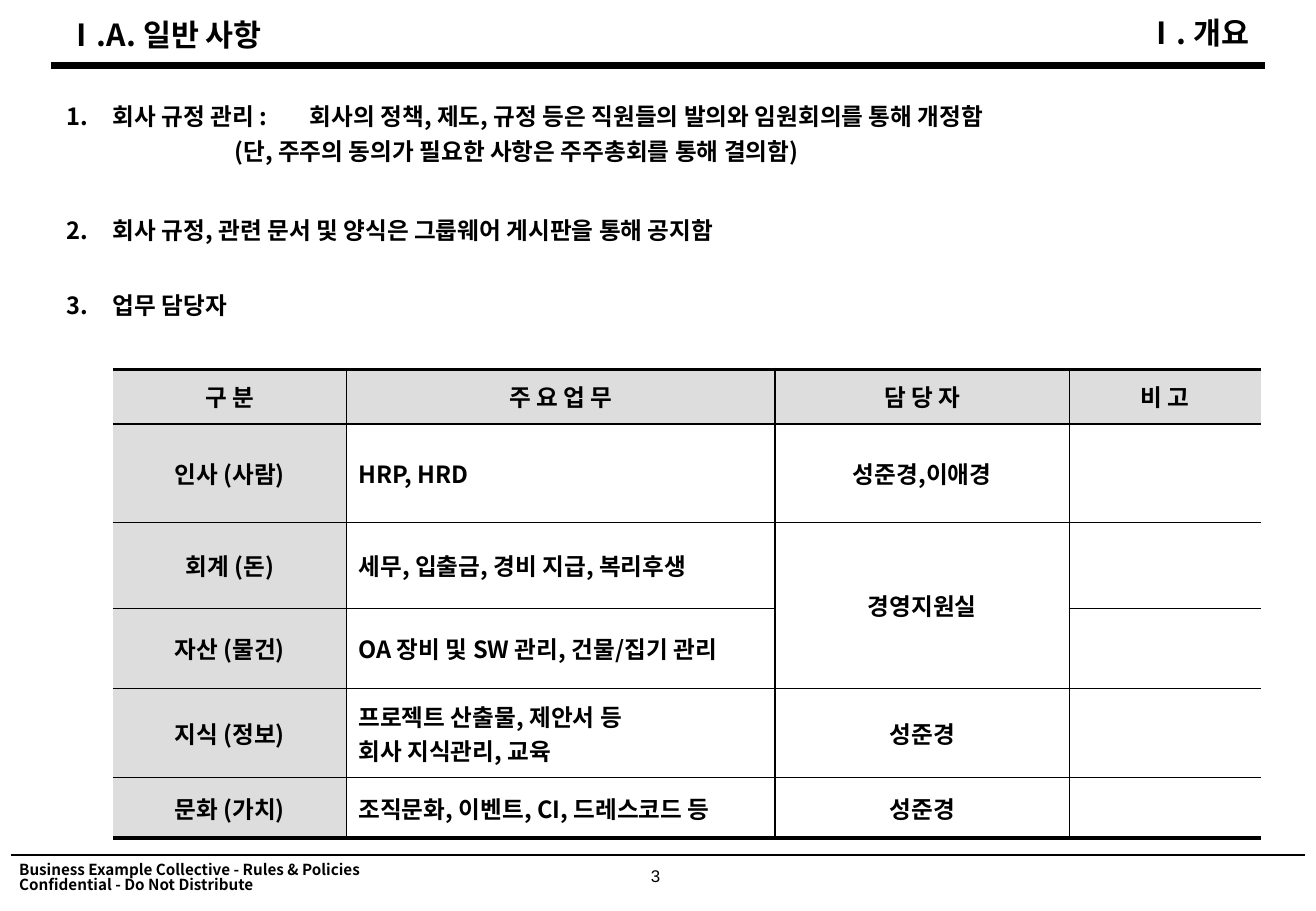
from lxml.etree import SubElement
from pptx import Presentation
from pptx.dml.color import RGBColor
from pptx.enum.shapes import MSO_CONNECTOR
from pptx.enum.text import MSO_ANCHOR, PP_ALIGN
from pptx.oxml.ns import qn
from pptx.util import Inches, Pt

COLORS = {"ink": "000000", "header": "DDDDDD", "paper": "FFFFFF"}
KOREAN_FONT = "Noto Sans CJK KR"


def write(paragraph, text, size, font=KOREAN_FONT, bold=True, align=PP_ALIGN.LEFT):
    paragraph.alignment = align
    for index, line in enumerate(text.split("\n")):
        if index:
            paragraph.add_line_break()
        run = paragraph.add_run()
        run.text = line
        run.font.size = Pt(size)
        run.font.bold = bold
        run.font.name = font
        run.font.color.rgb = RGBColor.from_string(COLORS["ink"])
        SubElement(run.font._element, qn("a:ea"), typeface=font)


def add_text_frame(left, top, width, height, margin=0):
    frame = slide.shapes.add_textbox(
        Inches(left), Inches(top), Inches(width), Inches(height)
    ).text_frame
    frame.word_wrap = True
    frame.margin_top = frame.margin_bottom = Inches(margin)
    return frame


presentation = Presentation()
presentation.slide_width = Inches(10.83)
presentation.slide_height = Inches(7.5)
slide = presentation.slides.add_slide(presentation.slide_layouts[6])

for left, right, y, weight in [(0.09, 10.74, 7.04, 1), (0.42, 10.41, 0.54, 4)]:
    rule = slide.shapes.add_connector(
        MSO_CONNECTOR.STRAIGHT, Inches(left), Inches(y), Inches(right), Inches(y)
    )
    rule.line.color.rgb = RGBColor.from_string(COLORS["ink"])
    rule.line.width = Pt(weight)
    SubElement(rule._element.spPr, qn("a:effectLst"))

page_number = add_text_frame(5.21, 7.1, 0.37, 0.37, 0.05)
page_number.paragraphs[0].line_spacing = 0.9
write(page_number.paragraphs[0], "3", 10, "Arial", False, PP_ALIGN.CENTER)

footer = add_text_frame(0.06, 7.06, 3.03, 0.4, 0.05)
footer_lines = ["Business Example Collective - Rules & Policies", "Confidential - Do Not Distribute"]
for index, line in enumerate(footer_lines):
    paragraph = footer.add_paragraph() if index else footer.paragraphs[0]
    paragraph.line_spacing = 0.82
    write(paragraph, line, 9)

for left, top, title, align in [
    (0.45, 0.13, "Ⅰ.A. 일반 사항", PP_ALIGN.LEFT),
    (6.28, 0.12, "Ⅰ. 개요", PP_ALIGN.RIGHT),
]:
    write(add_text_frame(left, top, 4.1, 0.4).paragraphs[0], title, 18, align=align)

topics = add_text_frame(0.45, 0.84, 9.08, 2.08)
for index, (topic, gap) in enumerate([
    ("회사 규정 관리 :", 0),
    ("회사 규정, 관련 문서 및 양식은 그룹웨어 게시판을 통해 공지함", 50.8),
    ("업무 담당자", 27.6),
]):
    paragraph = topics.add_paragraph() if index else topics.paragraphs[0]
    paragraph.space_before = Pt(gap)
    write(paragraph, topic, 14)
    properties = paragraph._p.get_or_add_pPr()
    properties.set("marL", str(Inches(0.38)))
    properties.set("indent", str(-Inches(0.38)))
    SubElement(properties, qn("a:buFont"), typeface=KOREAN_FONT)
    SubElement(properties, qn("a:buAutoNum"), type="arabicPeriod")

policy = add_text_frame(1.83, 0.84, 7.7, 0.65)
for index, (line, indent, gap) in enumerate([
    ("회사의 정책, 제도, 규정 등은 직원들의 발의와 임원회의를 통해 개정함", 0.62, 0),
    ("(단, 주주의 동의가 필요한 사항은 주주총회를 통해 결의함)", 0, 3.6),
]):
    paragraph = policy.add_paragraph() if index else policy.paragraphs[0]
    paragraph.space_before = Pt(gap)
    write(paragraph, line, 14)
    paragraph._p.get_or_add_pPr().set("marL", str(Inches(indent)))

duties = [
    ["구 분", "주 요 업 무", "담 당 자", "비 고"],
    ["인사 (사람)", "HRP, HRD", "성준경,이애경", ""],
    ["회계 (돈)", "세무, 입출금, 경비 지급, 복리후생", "경영지원실", ""],
    ["자산 (물건)", "OA 장비 및 SW 관리, 건물/집기 관리", "", ""],
    ["지식 (정보)", "프로젝트 산출물, 제안서 등\n회사 지식관리, 교육", "성준경", ""],
    ["문화 (가치)", "조직문화, 이벤트, CI, 드레스코드 등", "성준경", ""],
]
column_widths = [1.92, 3.53, 2.42, 1.58]
row_heights = [0.45, 0.81, 0.71, 0.66, 0.73, 0.5]
last_row, last_column = len(row_heights) - 1, len(column_widths) - 1
table = slide.shapes.add_table(
    len(row_heights), len(column_widths), Inches(0.93), Inches(3.04), Inches(9.45), Inches(3.86)
).table
for column, width in zip(table.columns, column_widths):
    column.width = Inches(width)
for row, height in zip(table.rows, row_heights):
    row.height = Inches(height)
table.cell(2, 2).merge(table.cell(3, 2))

for row, texts in enumerate(duties):
    for column, text in enumerate(texts):
        cell = table.cell(row, column)
        cell.vertical_anchor = MSO_ANCHOR.MIDDLE
        borders = {
            "L": 1 if column else 0,
            "R": 1 if column < last_column else 0,
            "T": 1 if row else 2.25,
            "B": 1 if row < last_row else 2.25,
        }
        for side, weight in borders.items():
            border = SubElement(
                cell._tc.get_or_add_tcPr(), qn("a:ln" + side), w=str(Pt(weight))
            )
            if weight:
                fill = SubElement(border, qn("a:solidFill"))
                SubElement(fill, qn("a:srgbClr"), val=COLORS["ink"])
            else:
                SubElement(border, qn("a:noFill"))
        shaded = row == 0 or column == 0
        cell.fill.solid()
        cell.fill.fore_color.rgb = RGBColor.from_string(COLORS["header" if shaded else "paper"])
        if text:
            align = PP_ALIGN.LEFT if row and column == 1 else PP_ALIGN.CENTER
            write(cell.text_frame.paragraphs[0], text, 14, align=align)

presentation.save("out.pptx")
